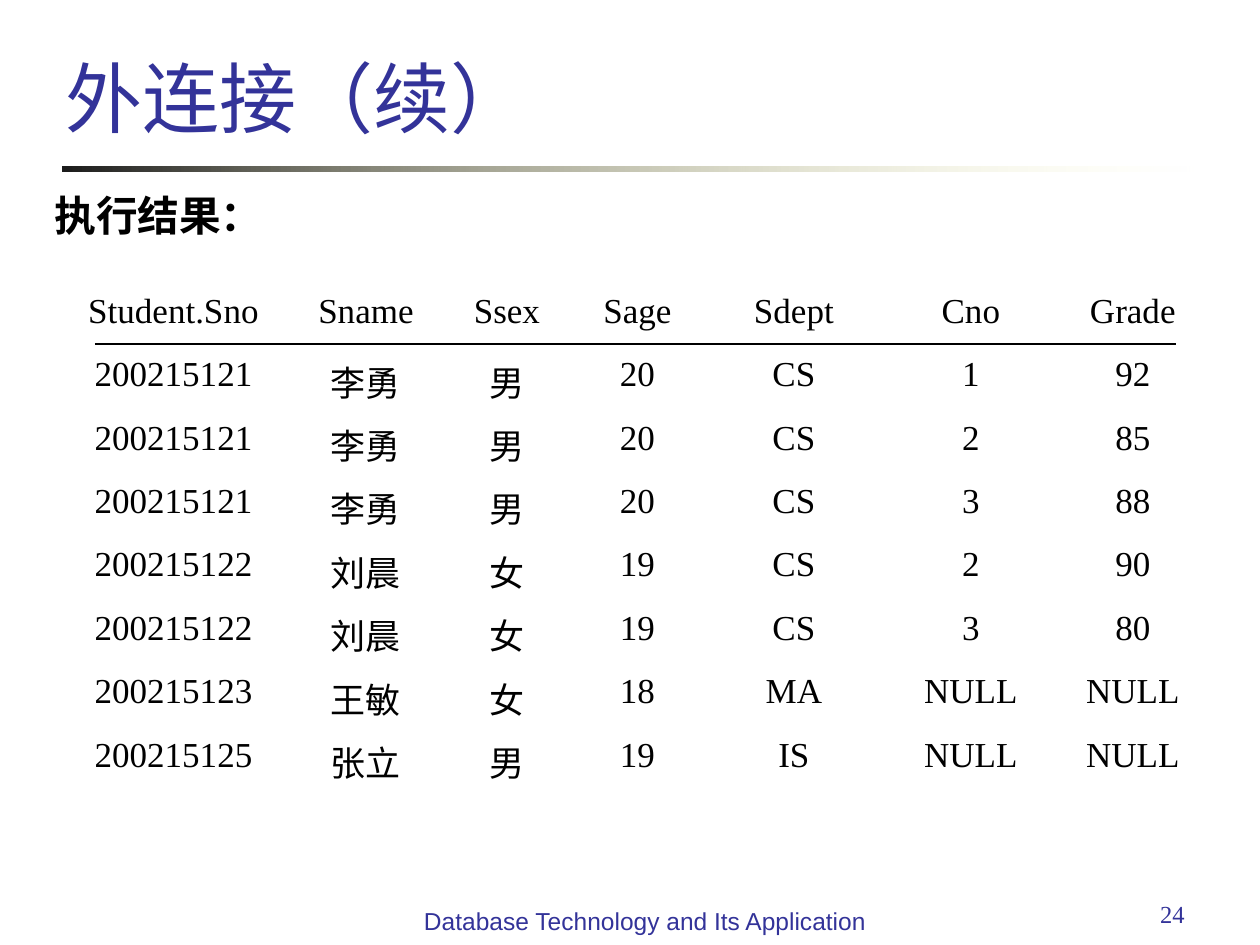
from pptx import Presentation
from pptx.dml.color import RGBColor
from pptx.enum.shapes import MSO_CONNECTOR, MSO_SHAPE
from pptx.enum.text import MSO_ANCHOR, MSO_AUTO_SIZE, PP_ALIGN
from pptx.oxml.ns import qn
from pptx.util import Pt
from lxml.etree import SubElement

SCALE = 914400 / 126
COLORS = {"navy": "333399", "black": "000000", "dark": "1C1C1C", "cream": "FFFFB7"}
COLUMNS = [239, 146, 136, 125, 188, 166, 158]
ROW_HEIGHT = 63
ROWS = [
    ["Student.Sno", "Sname", "Ssex", "Sage", "Sdept", "Cno", "Grade"],
    ["200215121", "李勇", "男", "20", "CS", "1", "92"],
    ["200215121", "李勇", "男", "20", "CS", "2", "85"],
    ["200215121", "李勇", "男", "20", "CS", "3", "88"],
    ["200215122", "刘晨", "女", "19", "CS", "2", "90"],
    ["200215122", "刘晨", "女", "19", "CS", "3", "80"],
    ["200215123", "王敏", "女", "18", "MA", "NULL", "NULL"],
    ["200215125", "张立", "男", "19", "IS", "NULL", "NULL"],
]


def px(*values):
    """Turn pixel lengths into a list of EMU."""
    return [round(v * SCALE) for v in values]


def rgb(name):
    """Look up a named colour."""
    return RGBColor.from_string(COLORS[name])


def write(tf, text, size=20, font="Arial", color="black", bold=False, align=PP_ALIGN.LEFT):
    """Write one formatted paragraph and return it."""
    p = tf.paragraphs[0]
    p.alignment = align
    r = p.add_run()
    r.text = text
    r.font.size, r.font.name, r.font.bold = Pt(size), font, bold
    r.font.color.rgb = rgb(color)
    return p


def place(sp, x, y, w, h, anchor=MSO_ANCHOR.TOP):
    """Move a text shape and return its wrapped text frame."""
    sp.left, sp.top, sp.width, sp.height = px(x, y, w, h)
    tf = sp.text_frame
    tf.word_wrap, tf.auto_size = True, MSO_AUTO_SIZE.NONE
    tf.vertical_anchor = anchor
    return tf


def add_text(s, x, y, w, h, text, **style):
    """Add a text box with one paragraph."""
    write(place(s.shapes.add_textbox(0, 0, 0, 0), x, y, w, h), text, **style)


def add_fading_bar(s, x, y, w, h):
    """Add a bar that fades out to the right."""
    sp = s.shapes.add_shape(MSO_SHAPE.RECTANGLE, *px(x, y, w, h))
    sp.shadow.inherit = False
    sp.line.fill.background()
    sp.fill.gradient()
    sp.fill.gradient_angle = 0
    for stop, position, color in zip(sp.fill.gradient_stops, (0, 1), ("dark", "cream")):
        stop.position, stop.color.rgb = position, rgb(color)
    end = list(sp._element.spPr.iter(qn("a:srgbClr")))[-1]
    SubElement(end, qn("a:alpha"), val="0")


def add_line(s, x1, y1, x2, y2):
    """Add a thin black line."""
    line = s.shapes.add_connector(MSO_CONNECTOR.STRAIGHT, *px(x1, y1, x2, y2))
    line.line.width = Pt(0.75)
    line.line.color.rgb = rgb("black")
    SubElement(line._element.spPr, qn("a:effectLst"))


def add_result_table(s, x, y):
    """Add the unfilled, centred query result table."""
    size = px(x, y, sum(COLUMNS), ROW_HEIGHT * len(ROWS))
    table = s.shapes.add_table(len(ROWS), len(COLUMNS), *size).table
    table.first_row = table.horz_banding = False
    for column, width in zip(table.columns, px(*COLUMNS)):
        column.width = width
    for row, values in zip(table.rows, ROWS):
        row.height = px(ROW_HEIGHT)[0]
        for cell, value in zip(row.cells, values):
            cell.fill.background()
            write(cell.text_frame, value, font="Times New Roman", align=PP_ALIGN.CENTER)


def fill_placeholders(s):
    """Fill the title and the body heading."""
    title, body = s.placeholders
    tf = place(title, 53, 0, 1106, 149, MSO_ANCHOR.BOTTOM)
    write(tf, "外连接（续）", size=44, color="navy")
    tf = place(body, 42, 189, 585, 66)
    p = write(tf, "执行结果：", size=23.8, bold=True, align=PP_ALIGN.JUSTIFY)
    p.space_before, p.line_spacing = Pt(7), 0.9
    pPr = p._p.get_or_add_pPr()
    indent = px(48)[0]
    pPr.set("marL", str(indent))
    pPr.set("indent", str(-indent))
    SubElement(pPr, qn("a:buNone"))


def main():
    """Build the slide."""
    prs = Presentation()
    prs.slide_width, prs.slide_height = px(1260, 945)
    s = prs.slides.add_slide(prs.slide_layouts[1])
    add_fading_bar(s, 63, 167, 1134, 5)
    add_text(s, 903, 893, 294, 66, "24", size=14, font="Times New Roman",
             color="navy", align=PP_ALIGN.RIGHT)
    add_text(s, 402, 900, 486, 66, "Database Technology and Its Application",
             size=14, color="navy", align=PP_ALIGN.CENTER)
    fill_placeholders(s)
    add_result_table(s, 54, 286)
    add_line(s, 95, 344, 1176, 344)
    prs.save("out.pptx")


if __name__ == "__main__":
    main()
